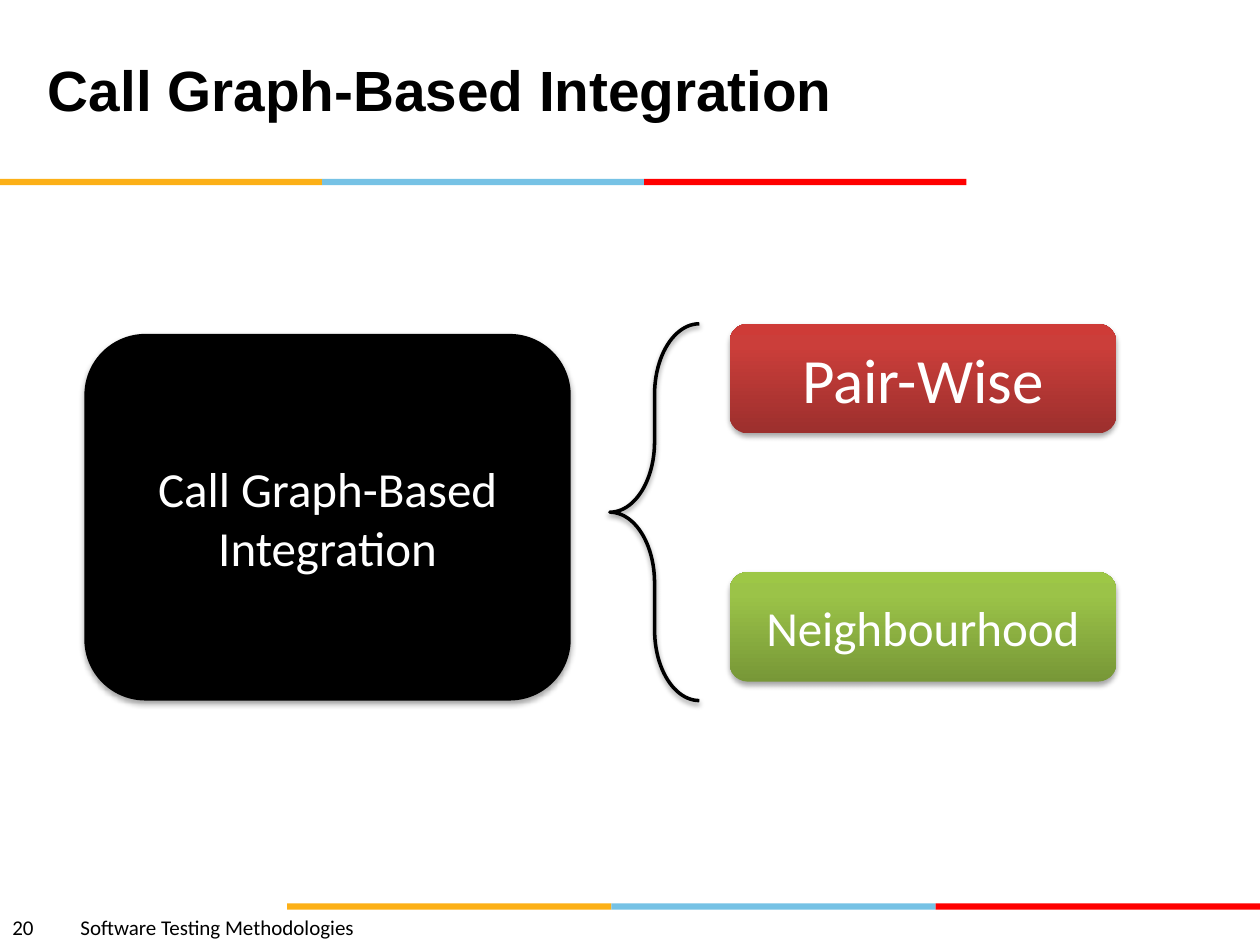
from dataclasses import dataclass

import pptx
import pptx.dml.color
import pptx.enum.shapes
import pptx.enum.text
import pptx.oxml.ns
import pptx.util
from lxml import etree
from pptx.util import Inches

SHAPES = pptx.enum.shapes.MSO_SHAPE
ALIGN = pptx.enum.text.PP_ALIGN
MIDDLE = pptx.enum.text.MSO_ANCHOR.MIDDLE


@dataclass(frozen=True)
class Theme:
    """Colours, fonts and type sizes of the deck."""
    black: str = "000000"
    white: str = "FFFFFF"
    stripes: tuple = ("FCB017", "76C2E5", "FF0000")
    red: tuple = ((0, "9C2F2D"), (80, "CB3E3A"), (100, "CE3B37"))
    green: tuple = ((0, "779737"), (80, "9BC348"), (100, "9DC746"))
    heading_font: str = "Arial"
    body_font: str = "Calibri"
    title_size: float = 32.4
    large_size: float = 36
    label_size: float = 28
    footer_size: float = 12


THEME = Theme()


def rgb(value):
    """Turn a hex string into a colour."""
    return pptx.dml.color.RGBColor.from_string(value)


def add_element(parent, tag, **attributes):
    """Append a DrawingML element with the given attributes."""
    values = {key: str(value) for key, value in attributes.items()}
    return etree.SubElement(parent, pptx.oxml.ns.qn(tag), values)


def style_font(font, name, size, color, bold=False):
    """Set the face, size, colour and weight of a font."""
    font.name = name
    font.size = pptx.util.Pt(size)
    font.bold = bold
    font.color.rgb = rgb(color)


def add_shadow(shape, opacity, distance):
    """Give a shape a soft shadow that falls straight down."""
    shape.shadow.inherit = False
    effects = shape._element.spPr.find(pptx.oxml.ns.qn("a:effectLst"))
    shadow = add_element(effects, "a:outerShdw", blurRad=pptx.util.Pt(3.1),
                         dist=pptx.util.Pt(distance), dir=5400000, rotWithShape=0)
    color = add_element(shadow, "a:srgbClr", val=THEME.black)
    add_element(color, "a:alpha", val=opacity * 1000)


def fill_gradient(shape, stops):
    """Fill a shape with colour stops running from bottom to top."""
    shape.fill.gradient()
    shape.fill.gradient_angle = 90
    stop_list = next(shape._element.spPr.iter(pptx.oxml.ns.qn("a:gsLst")))
    for stop in list(stop_list):
        stop_list.remove(stop)
    for position, color in stops:
        stop = add_element(stop_list, "a:gs", pos=position * 1000)
        add_element(stop, "a:srgbClr", val=color)


def add_title(page, text, left, top, width, height):
    """Place the slide title in its placeholder."""
    title = page.shapes.title
    title.left, title.top = Inches(left), Inches(top)
    title.width, title.height = Inches(width), Inches(height)
    title.text_frame.text = text
    title.text_frame.vertical_anchor = MIDDLE
    para = title.text_frame.paragraphs[0]
    para.alignment = ALIGN.LEFT
    style_font(para.font, THEME.heading_font, THEME.title_size, THEME.black, True)


def add_stripe(page, left, top, width, height=0.05):
    """Draw a band of three equal coloured parts."""
    part = width / len(THEME.stripes)
    for index, color in enumerate(THEME.stripes):
        band = page.shapes.add_shape(SHAPES.RECTANGLE, Inches(left + index * part),
                                     Inches(top), Inches(part), Inches(height))
        band.shadow.inherit = False
        band.fill.solid()
        band.fill.fore_color.rgb = rgb(color)
        band.line.fill.background()


def add_footer(page, number, text, left, top, width, height):
    """Write the page number and the course name, parted by a tab."""
    box = page.shapes.add_textbox(Inches(left), Inches(top), Inches(width), Inches(height))
    box.text_frame.word_wrap = True
    para = box.text_frame.paragraphs[0]
    para.text = f"{number}\t{text}"
    tabs = add_element(para._p.get_or_add_pPr(), "a:tabLst")
    add_element(tabs, "a:tab", pos=Inches(0.54), algn="l")
    style_font(para.font, THEME.body_font, THEME.footer_size, THEME.black)


def add_node(page, text, size, fill, left, top, width, height):
    """Draw a rounded, shadowed box with a solid or gradient fill."""
    node = page.shapes.add_shape(SHAPES.ROUNDED_RECTANGLE, Inches(left), Inches(top),
                                 Inches(width), Inches(height))
    if isinstance(fill, str):
        node.fill.solid()
        node.fill.fore_color.rgb = rgb(fill)
    else:
        fill_gradient(node, fill)
    node.line.fill.background()
    add_shadow(node, 35, 1.8)
    node.text_frame.word_wrap = True
    node.text_frame.vertical_anchor = MIDDLE
    para = node.text_frame.paragraphs[0]
    para.text = text
    para.alignment = ALIGN.CENTER
    style_font(para.font, THEME.body_font, size, THEME.white)


def add_brace(page, left, top, width, height):
    """Draw the brace that opens onto the branches."""
    brace = page.shapes.add_shape(SHAPES.LEFT_BRACE, Inches(left), Inches(top),
                                  Inches(width), Inches(height))
    brace.adjustments[0] = 0.789
    brace.adjustments[1] = 0.5
    brace.fill.background()
    brace.line.color.rgb = rgb(THEME.black)
    brace.line.width = pptx.util.Pt(2)
    add_shadow(brace, 38, 1.6)


def add_breakdown(page, left, top, width, height):
    """Show the integration method, a brace and its two branches."""
    branches = (("Pair-Wise", THEME.large_size, THEME.red),
                ("Neighbourhood", THEME.label_size, THEME.green))
    branch_width, branch_height, pitch = 3.07, 0.87, 1.97
    for index, (text, size, fill) in enumerate(branches):
        add_node(page, text, size, fill, left + width - branch_width,
                 top + index * pitch, branch_width, branch_height)
    add_node(page, "Call Graph-Based Integration", THEME.label_size, THEME.black,
             left, top + 0.08, 3.86, height - 0.08)
    add_brace(page, left + 4.17, top, 0.71, height)


def main():
    """Build the slide and save the deck."""
    deck = pptx.Presentation()
    deck.slide_width, deck.slide_height = Inches(10), Inches(7.5)
    page = deck.slides.add_slide(deck.slide_layouts[5])
    add_title(page, "Call Graph-Based Integration", 0.28, 0.08, 6.85, 1.25)
    add_stripe(page, 0, 1.42, 7.67)
    add_stripe(page, 2.28, 7.17, 7.72)
    add_footer(page, 20, "Software Testing Methodologies", 0, 7.21, 5, 0.3)
    add_breakdown(page, 0.67, 2.57, 8.19, 2.99)
    deck.save("out.pptx")


if __name__ == "__main__":
    main()
